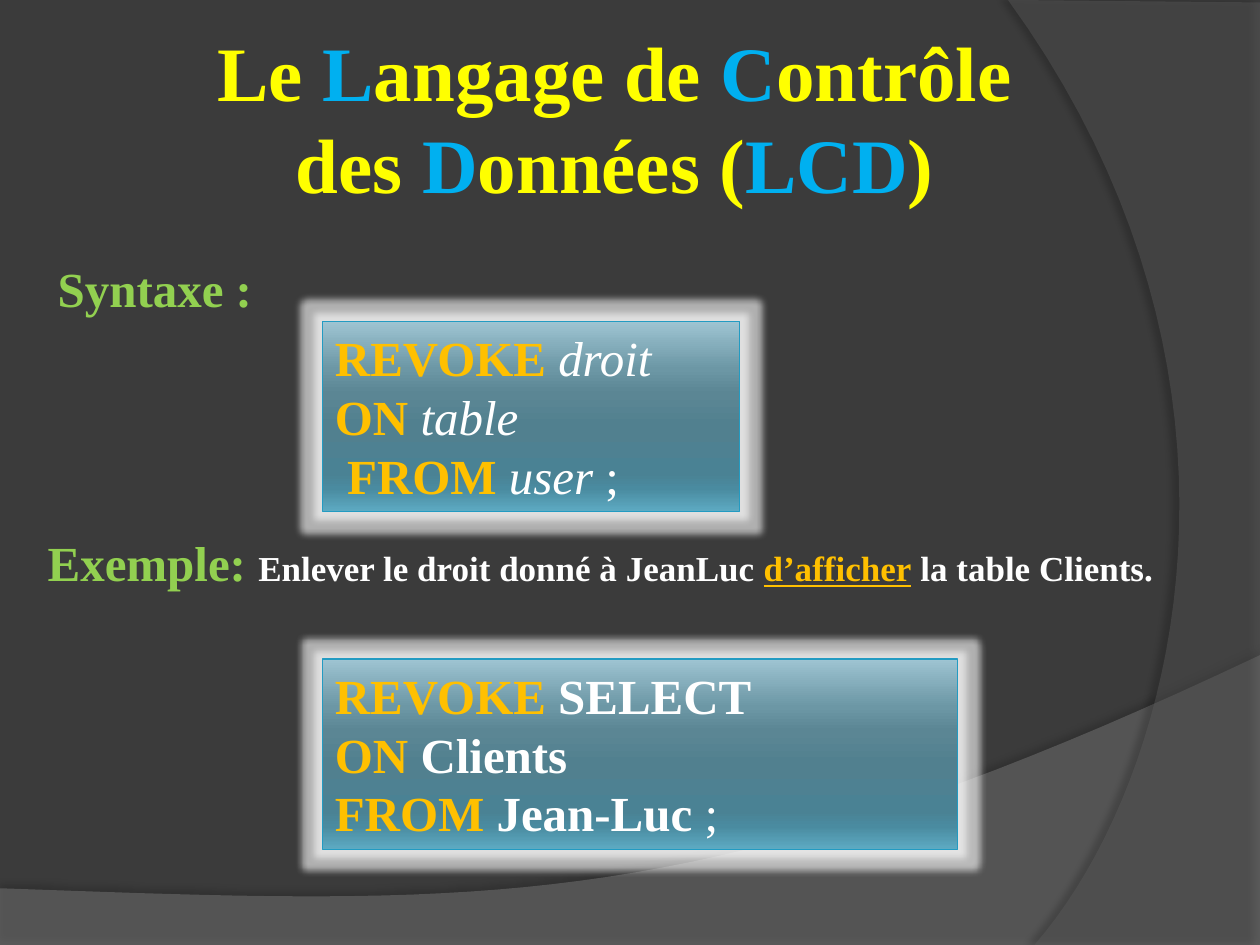
from lxml.etree import SubElement
from pptx import Presentation
from pptx.dml.color import RGBColor
from pptx.enum.shapes import MSO_SHAPE
from pptx.enum.text import MSO_ANCHOR, MSO_AUTO_SIZE, PP_ALIGN
from pptx.oxml.ns import qn
from pptx.util import Inches, Pt

COLORS = {
    "background": "3B3B3B", "wave": "7F7F7F", "arc": "5E5E5E", "shadow": "000000",
    "title": "FFFF00", "initial": "00B0F0", "label": "92D050", "keyword": "FFC000",
    "body": "FFFFFF", "border": "239BC2",
}
BOX_GRADIENT = [(0, "9EC4D2"), (25, "6C97A5"), (38, "5B8694"), (55, "51808F"),
                (80, "4A8294"), (88, "4A8BA0"), (100, "5DAAC2")]
TITLE = {"size": 44, "bold": True, "color": "title"}
INITIAL = {**TITLE, "color": "initial"}
LABEL = {"size": 28, "bold": True, "color": "label"}
KEYWORD = {**LABEL, "color": "keyword"}
NAME = {**LABEL, "color": "body"}
ARGUMENT = {"size": 28, "italic": True, "color": "body"}
PLAIN = {"size": 28, "color": "body"}
SENTENCE = {**NAME, "size": 20}
STRESSED = {**SENTENCE, "color": "keyword", "underline": True}


def rgb(name):
    return RGBColor.from_string(COLORS[name])


def child(parent, tag, **attributes):
    return SubElement(parent, qn(tag), {key: str(value) for key, value in attributes.items()})


def curve(start, first, second, end, steps=40):
    """Return the points of a cubic curve after its start."""
    points = []
    for step in range(1, steps + 1):
        t = step / steps
        weights = ((1 - t) ** 3, 3 * t * (1 - t) ** 2, 3 * t * t * (1 - t), t ** 3)
        points.append(tuple(sum(w * p[axis] for w, p in zip(weights, (start, first, second, end)))
                            for axis in (0, 1)))
    return points


class SlideBuilder:
    """Draw styled elements on the current slide."""

    font = "Times New Roman"

    def __init__(self, slide):
        self.slide = slide
        slide.background.fill.solid()
        slide.background.fill.fore_color.rgb = rgb("background")

    def effect(self, shape, tag, color, alpha, **attributes):
        shape.shadow.inherit = False
        effects = shape.element.spPr.find(qn("a:effectLst"))
        tint = child(child(effects, tag, **attributes), "a:srgbClr", val=COLORS[color])
        child(tint, "a:alpha", val=alpha * 1000)

    def fill_text(self, frame, lines, align=PP_ALIGN.LEFT, **settings):
        for key, value in settings.items():
            setattr(frame, key, value)
        for index, line in enumerate(lines):
            paragraph = frame.add_paragraph() if index else frame.paragraphs[0]
            paragraph.alignment = align
            for text, style in line:
                for part, piece in enumerate(text.split("\n")):
                    if part:
                        paragraph.add_line_break()
                    self.add_piece(paragraph, piece, style)

    def add_piece(self, paragraph, text, style):
        run = paragraph.add_run()
        run.text = text
        values = {"name": self.font, "bold": False, "italic": False, **style}
        run.font.color.rgb = rgb(values.pop("color"))
        values["size"] = Pt(values["size"])
        for key, value in values.items():
            setattr(run.font, key, value)

    def backdrop(self, points, color, opacity, shadow_alpha, distance, angle):
        start, *rest = [(Inches(x), Inches(y)) for x, y in points]
        builder = self.slide.shapes.build_freeform(*start)
        builder.add_line_segments(rest, close=True)
        shape = builder.convert_to_shape()
        shape.fill.solid()
        shape.fill.fore_color.rgb = rgb(color)
        tint = shape.element.spPr.find(qn("a:solidFill"))[0]
        child(tint, "a:alpha", val=opacity * 1000)
        shape.line.fill.background()
        self.effect(shape, "a:outerShdw", "shadow", shadow_alpha, blurRad=Pt(4),
                    dist=Pt(distance), dir=angle * 60000, rotWithShape=0)

    def title(self, line, *area):
        title = self.slide.shapes.title
        title.element.getparent().append(title.element)
        title.left, title.top, title.width, title.height = map(Inches, area)
        margins = {f"margin_{side}": Inches(0.05) for side in ("left", "top", "right", "bottom")}
        self.fill_text(title.text_frame, [line], PP_ALIGN.CENTER, word_wrap=True,
                       auto_size=MSO_AUTO_SIZE.NONE, vertical_anchor=MSO_ANCHOR.MIDDLE, **margins)

    def text(self, line, *area, wrap=True):
        box = self.slide.shapes.add_textbox(*map(Inches, area))
        self.fill_text(box.text_frame, [line], word_wrap=wrap,
                       auto_size=MSO_AUTO_SIZE.SHAPE_TO_FIT_TEXT)

    def code_box(self, lines, *area):
        box = self.slide.shapes.add_shape(MSO_SHAPE.RECTANGLE, *map(Inches, area))
        box.fill.gradient()
        box.fill.gradient_angle = 270
        stops = box.element.spPr.find(qn("a:gradFill")).find(qn("a:gsLst"))
        stops.clear()
        for position, color in BOX_GRADIENT:
            child(child(stops, "a:gs", pos=position * 1000), "a:srgbClr", val=color)
        box.line.color.rgb = rgb("border")
        box.line.width = Pt(0.75)
        self.effect(box, "a:glow", "body", 60, rad=Pt(8))
        self.fill_text(box.text_frame, lines, word_wrap=True, vertical_anchor=MSO_ANCHOR.TOP,
                       auto_size=MSO_AUTO_SIZE.SHAPE_TO_FIT_TEXT)


deck = Presentation()
deck.slide_width, deck.slide_height = Inches(10), Inches(7.5)
page = SlideBuilder(deck.slides.add_slide(deck.slide_layouts[5]))

wave = [(0, 7.05), (0, 7.5), (10, 7.5), (10, 5.2)]
page.backdrop(wave + curve((10, 5.2), (5.59, 7.29), (3.91, 7.19), (0, 7.05)),
              "wave", 45, 35, 3.5, 270)
arc = [(10, 0.02), (10, 7.5), (8.21, 7.5)]
page.backdrop(arc + curve((8.21, 7.5), (9.35, 6.19), (10.18, 3), (8, 0)),
              "arc", 40, 45, 4, 180)

page.title([("Le ", TITLE), ("L", INITIAL), ("angage de ", TITLE), ("C", INITIAL),
            ("ontrôle \ndes ", TITLE), ("D", INITIAL), ("onnées (", TITLE),
            ("LCD", INITIAL), (") ", TITLE)], 0.5, 0.3, 8.91, 1.25)
page.text([("Syntaxe :", LABEL)], 0.36, 2, 1.76, 0.57, wrap=False)
page.code_box([
    [("REVOKE ", KEYWORD), ("droit ", ARGUMENT)],
    [("ON ", KEYWORD), ("table", ARGUMENT)],
    [(" ", PLAIN), ("FROM ", KEYWORD), ("user", ARGUMENT), (" ; ", PLAIN)],
], 2.56, 2.55, 3.31, 1.51)
page.code_box([
    [("REVOKE ", KEYWORD), ("SELECT", NAME)],
    [("ON ", KEYWORD), ("Clients ", NAME)],
    [("FROM", KEYWORD), (" Jean-Luc", NAME), (" ;", PLAIN)],
], 2.56, 5.23, 5.04, 1.51)
page.text([("Exemple: ", LABEL), ("Enlever le droit donné à JeanLuc ", SENTENCE),
           ("d’afficher", STRESSED), (" la table Clients.", SENTENCE)], 0.28, 4.18, 9.61, 0.57)

deck.save("out.pptx")
